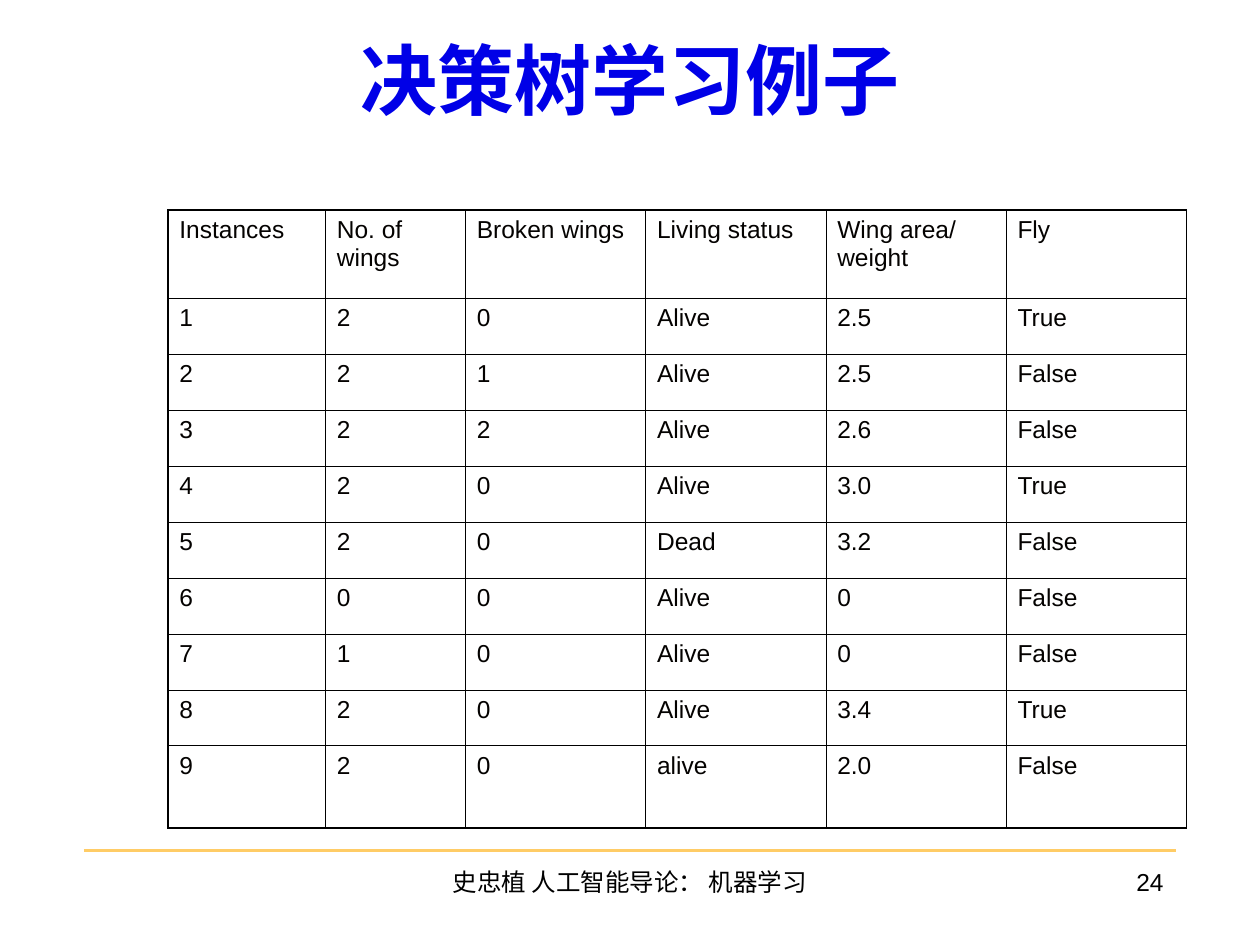
import pptx
import pptx.util
import pptx.dml.color
import pptx.enum.shapes
import pptx.enum.text
import pptx.oxml
import pptx.oxml.ns

Pt = pptx.util.Pt
Align = pptx.enum.text.PP_ALIGN
Anchor = pptx.enum.text.MSO_ANCHOR

LATIN = "Arial"
HAN = "Noto Sans CJK SC"
THIN, THICK = 0.45, 1.08
COLS = [90, 80, 103, 103, 103, 103]
ROWS = [50.4] + [32] * 8 + [47]
DATA = [
    ["Instances", "No. of wings", "Broken wings", "Living status", "Wing area/ weight", "Fly"],
    ["1", "2", "0", "Alive", "2.5", "True"],
    ["2", "2", "1", "Alive", "2.5", "False"],
    ["3", "2", "2", "Alive", "2.6", "False"],
    ["4", "2", "0", "Alive", "3.0", "True"],
    ["5", "2", "0", "Dead", "3.2", "False"],
    ["6", "0", "0", "Alive", "0", "False"],
    ["7", "1", "0", "Alive", "0", "False"],
    ["8", "2", "0", "Alive", "3.4", "True"],
    ["9", "2", "0", "alive", "2.0", "False"],
]


def color(code):
    return pptx.dml.color.RGBColor.from_string(code)


def assign(item, values):
    for name, value in values.items():
        setattr(item, name, value)


def write(frame, text, size, code, align=Align.LEFT, face=LATIN, bold=False):
    para = frame.paragraphs[0]
    para.alignment = align
    run = para.add_run()
    run.text = text
    assign(run.font, {"size": Pt(size), "name": face, "bold": bold})
    run.font.color.rgb = color(code)
    # East Asian typeface
    east = pptx.oxml.parse_xml(
        f'<a:ea {pptx.oxml.ns.nsdecls("a")} typeface="{HAN}"/>')
    run.font._element.append(east)


def add_text(slide, box, text, size, code, align, anchor=Anchor.TOP, **face):
    frame = slide.shapes.add_textbox(*map(Pt, box)).text_frame
    assign(frame, {"word_wrap": True, "vertical_anchor": anchor})
    write(frame, text, size, code, align, **face)


def add_rule(slide, start, end, code, width):
    rule = slide.shapes.add_connector(
        pptx.enum.shapes.MSO_CONNECTOR.STRAIGHT, *map(Pt, start + end))
    rule.line.color.rgb = color(code)
    rule.line.width = Pt(width)
    rule._element.spPr.append(
        pptx.oxml.parse_xml(f'<a:effectLst {pptx.oxml.ns.nsdecls("a")}/>'))


def set_edges(cell, edges):
    props = cell._tc.get_or_add_tcPr()
    for side, width in edges.items():
        props.append(pptx.oxml.parse_xml(
            f'<a:ln{side} {pptx.oxml.ns.nsdecls("a")} w="{int(Pt(width))}">'
            '<a:solidFill><a:srgbClr val="000000"/></a:solidFill>'
            f'</a:ln{side}>'))


def add_grid(slide, left, top):
    grid = slide.shapes.add_table(
        len(ROWS), len(COLS), Pt(left), Pt(top), Pt(sum(COLS)), Pt(sum(ROWS))).table
    assign(grid, {"first_row": False, "horz_banding": False})
    for col, width in zip(grid.columns, COLS):
        col.width = Pt(width)
    for row, height in zip(grid.rows, ROWS):
        row.height = Pt(height)

    # Heavier lines only on the outer frame
    for i, texts in enumerate(DATA):
        for j, text in enumerate(texts):
            cell = grid.cell(i, j)
            outer = {"L": j == 0, "R": j == len(COLS) - 1,
                     "T": i == 0, "B": i == len(ROWS) - 1}
            set_edges(cell, {s: THICK if out else THIN for s, out in outer.items()})
            cell.fill.background()
            assign(cell, {"margin_left": Pt(6.5), "margin_right": Pt(6.5),
                          "margin_top": Pt(3.6), "margin_bottom": Pt(3.6)})
            write(cell.text_frame, text, 14, "040200")


def main():
    deck = pptx.Presentation()
    assign(deck, {"slide_width": Pt(720), "slide_height": Pt(540)})
    slide = deck.slides.add_slide(deck.slide_layouts[6])

    # Footer rule
    add_rule(slide, (48, 486), (672, 486), "FFCC66", 1.5)

    # Title
    add_text(slide, (54, 0, 612, 90), "决策树学习例子", 44, "0000E7",
             Align.CENTER, Anchor.MIDDLE, face=HAN, bold=True)

    # Training examples
    add_grid(slide, 96, 120)

    # Footer and page number
    add_text(slide, (246, 492, 228, 36), "史忠植 人工智能导论： 机器学习",
             14, "000000", Align.CENTER)
    add_text(slide, (522, 492, 150, 36), "24", 14, "000000", Align.RIGHT)

    deck.save("out.pptx")


if __name__ == "__main__":
    main()
